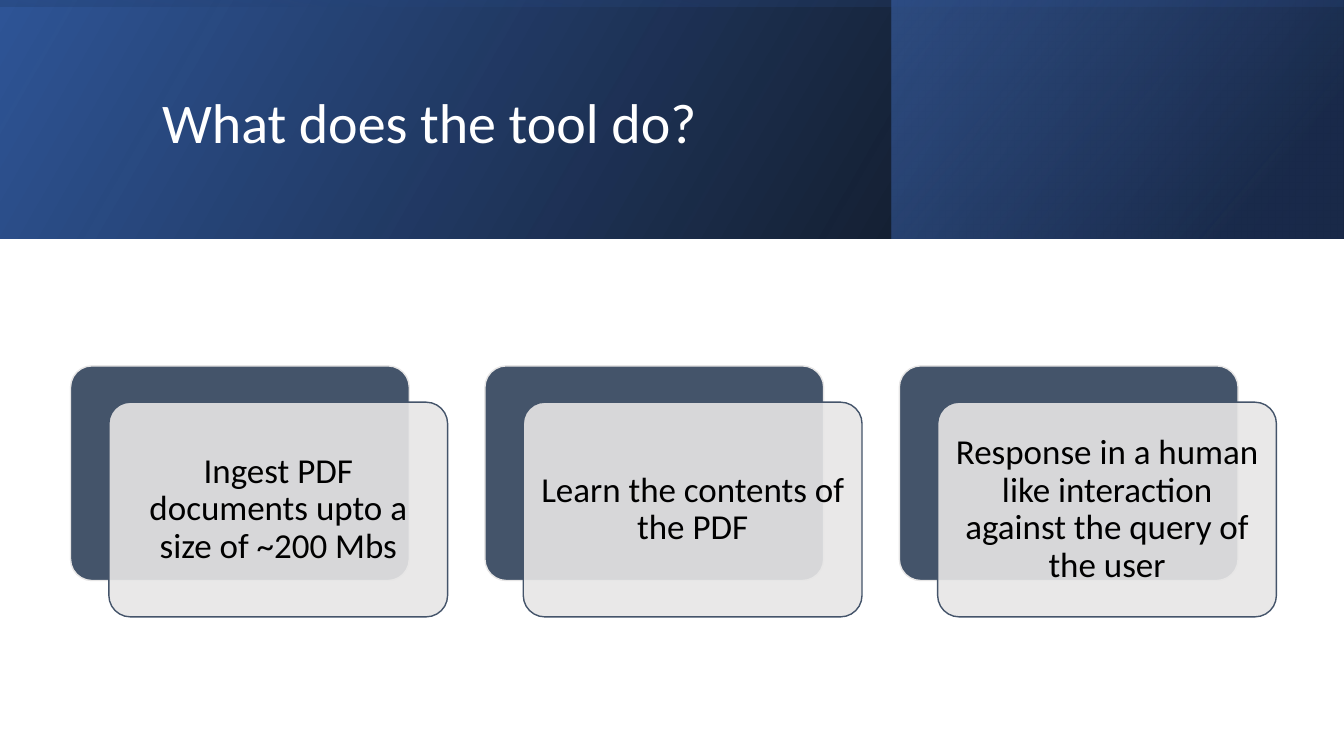
from pptx import Presentation
from pptx.dml.color import RGBColor
from pptx.enum.shapes import MSO_SHAPE as Shape
from pptx.enum.text import MSO_ANCHOR as Anchor, PP_ALIGN as Align
from pptx.oxml.ns import qn
from pptx.util import Inches, Pt
from lxml.etree import SubElement

TITLE = "What does the tool do?"
STEPS = [
    "Ingest PDF documents upto a size of ~200 Mbs",
    "Learn the contents of the PDF",
    "Response in a human like interaction against the query of the user",
]

FONT = "Calibri"
WHITE = RGBColor(0xFF, 0xFF, 0xFF)
BLACK = RGBColor(0x00, 0x00, 0x00)
BLUE = RGBColor(0x2F, 0x55, 0x97)
NAVY = RGBColor(0x20, 0x38, 0x64)
SKY = RGBColor(0x44, 0x72, 0xC4)
SLATE = RGBColor(0x44, 0x54, 0x6A)
SILVER = RGBColor(0xE7, 0xE6, 0xE6)

WIDTH, HEIGHT = 13.33, 7.5
BANNER_H = 2.37
TURNED_X = (WIDTH - BANNER_H) / 2

# Box, rotation, clockwise gradient angle, stops of (position %, colour, opacity %)
BANNER = [
    ((0, 0, WIDTH, BANNER_H), 0, 330, [(0, BLACK, 96), (100, BLUE, 100)]),
    ((8.84, 0, 4.48, BANNER_H), 0, 320, [(19, NAVY, 68), (100, SKY, 48)]),
    ((TURNED_X, -TURNED_X, BANNER_H, WIDTH), 270, 350,
     [(23, BLUE, 16), (99, BLACK, 45)]),
]

CARD_X, CARD_Y, CARD_W, CARD_H = 0.7, 3.63, 3.36, 2.13
CARD_PITCH = 4.11
FRONT_DX, FRONT_DY = 0.38, 0.36
TEXT_INSET = 0.06


def add_shape(slide, kind, box):
    shape = slide.shapes.add_shape(kind, *map(Inches, box))
    shape.shadow.inherit = False
    return shape


def set_opacity(shape, percents):
    """Apply opacity to the fill colours; call before the line gets a colour."""
    colours = shape._element.spPr.iter(qn("a:srgbClr"))
    for colour, percent in zip(colours, percents):
        if percent < 100:
            SubElement(colour, qn("a:alpha"), val=str(percent * 1000))


def add_gradient(slide, box, rotation, angle, stops):
    panel = add_shape(slide, Shape.RECTANGLE, box)
    panel.rotation = rotation
    panel._element.spPr.find(qn("a:xfrm")).set("flipH", "1")
    panel.fill.gradient()
    panel.fill.gradient_angle = 360 - angle
    for stop, (position, colour, _) in zip(panel.fill.gradient_stops, stops):
        stop.position = position / 100
        stop.color.rgb = colour
    set_opacity(panel, [opacity for _, _, opacity in stops])
    panel.line.fill.background()


def add_card(slide, x, y, fill, line, opacity=100):
    card = add_shape(slide, Shape.ROUNDED_RECTANGLE, (x, y, CARD_W, CARD_H))
    card.adjustments[0] = 0.1
    card.fill.solid()
    card.fill.fore_color.rgb = fill
    set_opacity(card, [opacity])
    card.line.color.rgb = line
    card.line.width = Pt(1)


def add_text(slide, text, box, size, colour, align=Align.LEFT, inset=None):
    frame = slide.shapes.add_textbox(*map(Inches, box)).text_frame
    frame.word_wrap = True
    frame.vertical_anchor = Anchor.MIDDLE
    if inset is not None:
        frame.margin_left = frame.margin_right = Inches(inset)
        frame.margin_top = frame.margin_bottom = Inches(inset)
    para = frame.paragraphs[0]
    para.alignment = align
    para.line_spacing = 0.9
    span = para.add_run()
    span.text = text
    span.font.name = FONT
    span.font.size = Pt(size)
    span.font.color.rgb = colour


def main():
    deck = Presentation()
    deck.slide_width, deck.slide_height = Inches(WIDTH), Inches(HEIGHT)
    page = deck.slides.add_slide(deck.slide_layouts[6])

    for panel in BANNER:
        add_gradient(page, *panel)
    add_text(page, TITLE, (1.51, 0.38, 10.63, 1.72), 40, WHITE)

    for index, step in enumerate(STEPS):
        x = CARD_X + index * CARD_PITCH
        front_x, front_y = x + FRONT_DX, CARD_Y + FRONT_DY
        add_card(page, x, CARD_Y, SLATE, SILVER)
        add_card(page, front_x, front_y, SILVER, SLATE, opacity=90)
        text_box = (front_x + TEXT_INSET, front_y + TEXT_INSET,
                    CARD_W - 2 * TEXT_INSET, CARD_H - 2 * TEXT_INSET)
        add_text(page, step, text_box, 25, BLACK, align=Align.CENTER, inset=0.1)

    deck.save("out.pptx")


if __name__ == "__main__":
    main()
